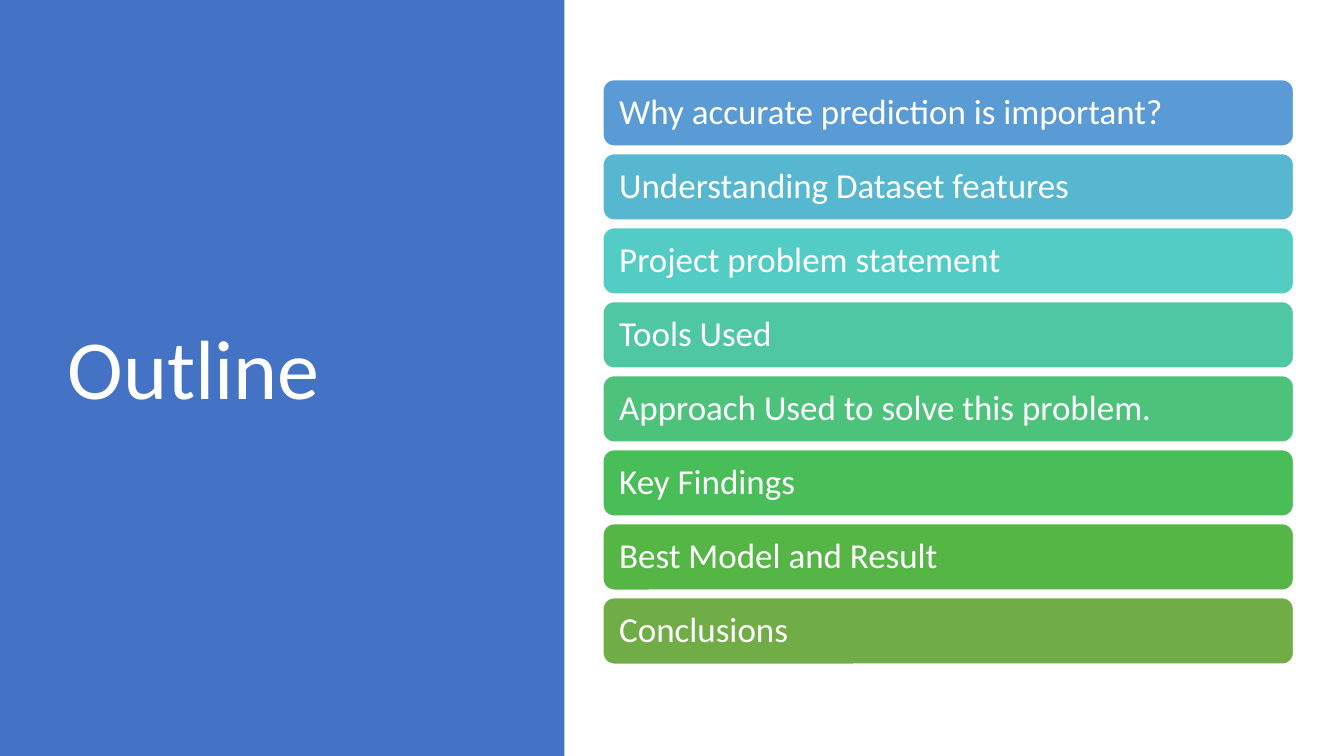
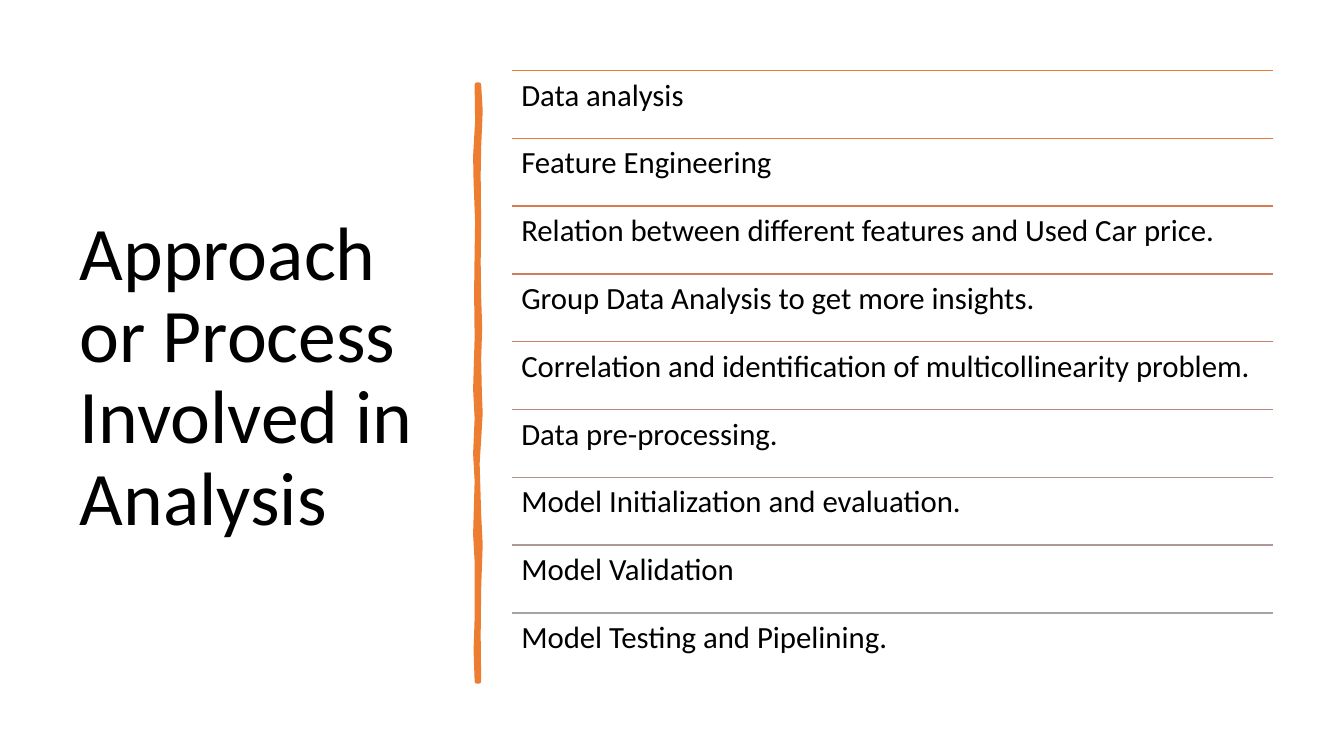
from dataclasses import dataclass
from typing import Any

from pptx import Presentation
from pptx import util as u
from pptx.dml.color import RGBColor
from pptx.enum import shapes, text
from pptx.oxml import parse_xml
from pptx.oxml.ns import nsdecls

FONT = "Calibri"
WHITE = RGBColor(0xFF, 0xFF, 0xFF)
BLACK = RGBColor(0x00, 0x00, 0x00)
BLUE = RGBColor(0x44, 0x72, 0xC4)
ORANGE = RGBColor(0xED, 0x7D, 0x31)
BAR_COLOURS = [RGBColor.from_string(code) for code in
               "5B9BD5 57B7D1 53CCC5 4FC7A0 4CC27B 48BD58 55B646 70AD47".split()]
RULE_COLOURS = [RGBColor.from_string(code) for code in
                "ED7D31 E27A42 D87A51 CE7C61 C48170 BC877E B4908B AC9A99 A5A5A5".split()]

SLIDE_WIDTH, SLIDE_HEIGHT = u.Inches(13.33), u.Inches(7.5)
PANEL_SHARE = 0.42

OUTLINE = [
    "Why accurate prediction is important?",
    "Understanding Dataset features",
    "Project problem statement",
    "Tools Used",
    "Approach Used to solve this problem.",
    "Key Findings",
    "Best Model and Result",
    "Conclusions",
]
STEPS = [
    "Data analysis",
    "Feature Engineering",
    "Relation between different features and Used Car price.",
    "Group Data Analysis to get more insights.",
    "Correlation and identification of multicollinearity problem.",
    "Data pre-processing.",
    "Model Initialization and evaluation.",
    "Model Validation",
    "Model Testing and Pipelining.",
]

# Brush stroke edges as (x, y) in thousandths of an inch
STROKE_RIGHT = [(4750, 840), (4765, 1100), (4750, 1460), (4745, 1730), (4750, 2260),
                (4745, 2600), (4750, 2940), (4760, 3250), (4750, 3560), (4757, 3900),
                (4765, 4100), (4750, 4360), (4735, 4600), (4750, 5100), (4765, 5400),
                (4750, 5840), (4745, 6300), (4750, 6760)]
STROKE_LEFT = [(4730, 6760), (4720, 6450), (4730, 6130), (4730, 5570), (4715, 5300),
               (4730, 4770), (4715, 4500), (4730, 4150), (4715, 3860), (4730, 3350),
               (4725, 2900), (4730, 2500), (4735, 2200), (4720, 1810), (4715, 1550),
               (4735, 1200), (4730, 840)]


@dataclass(frozen=True)
class Box:
    left: float
    top: float
    width: float
    height: float

    def emu(self) -> tuple[int, int, int, int]:
        return (u.Inches(self.left), u.Inches(self.top),
                u.Inches(self.width), u.Inches(self.height))


@dataclass(frozen=True)
class Rows:
    """Equal rows from first.top to the bottom, one for each label."""
    first: Box
    bottom: float
    count: int

    def box(self, index: int) -> Box:
        first = self.first
        pitch = (self.bottom - first.top - first.height) / (self.count - 1)
        return Box(first.left, first.top + index * pitch, first.width, first.height)


def set_values(target: Any, values: dict[str, Any]) -> None:
    for name, value in values.items():
        setattr(target, name, value)


def write(shape: Any, words: str, size: float, colour: RGBColor,
          anchor: text.MSO_ANCHOR, inset: float) -> None:
    frame = shape.text_frame
    set_values(frame, {
        "text": words, "word_wrap": True, "vertical_anchor": anchor,
        "auto_size": text.MSO_AUTO_SIZE.NONE,
        **{f"margin_{side}": u.Inches(inset) for side in ("left", "right", "top", "bottom")},
    })
    para = frame.paragraphs[0]
    set_values(para, {"alignment": text.PP_ALIGN.LEFT, "line_spacing": 0.9})
    set_values(para.runs[0].font, {"name": FONT, "size": u.Pt(size)})
    para.runs[0].font.color.rgb = colour


def paint(shape: Any, fill: RGBColor, line: RGBColor | None = None, width: float = 1) -> None:
    shape.shadow.inherit = False
    shape.fill.solid()
    shape.fill.fore_color.rgb = fill
    if line is None:
        shape.line.fill.background()
    else:
        shape.line.color.rgb = line
        shape.line.width = u.Pt(width)


def add_page(deck: Any, title: str, box: Box, size: float, colour: RGBColor) -> Any:
    page = deck.slides.add_slide(deck.slide_layouts[5])
    heading = page.shapes.title
    set_values(heading, dict(zip(("left", "top", "width", "height"), box.emu())))
    write(heading, title, size, colour, text.MSO_ANCHOR.MIDDLE, 0.1)
    return page


def add_panel(page: Any) -> None:
    """Fill the left share of the page behind its title."""
    panel = page.shapes.add_shape(shapes.MSO_SHAPE.RECTANGLE, 0, 0,
                                  int(SLIDE_WIDTH * PANEL_SHARE), SLIDE_HEIGHT)
    paint(panel, BLUE)
    page.shapes.title._element.addprevious(panel._element)


def add_bar(page: Any, box: Box, label: str, colour: RGBColor) -> None:
    bar = page.shapes.add_shape(shapes.MSO_SHAPE.ROUNDED_RECTANGLE, *box.emu())
    paint(bar, colour, WHITE)
    write(bar, label, 25, WHITE, text.MSO_ANCHOR.MIDDLE, 0.13)


def add_ruled_row(page: Any, box: Box, label: str, colour: RGBColor) -> None:
    left, top, width, height = box.emu()
    rule = page.shapes.add_connector(shapes.MSO_CONNECTOR.STRAIGHT,
                                     left, top, left + width, top)
    rule.line.color.rgb = colour
    rule.line.width = u.Pt(1)
    rule._element.spPr.append(parse_xml(f"<a:effectLst {nsdecls('a')}/>"))
    row = page.shapes.add_textbox(left, top, width, height)
    write(row, label, 22, BLACK, text.MSO_ANCHOR.TOP, 0.09)


def add_brush_stroke(page: Any) -> None:
    start, *others = STROKE_RIGHT + STROKE_LEFT
    builder = page.shapes.build_freeform(*start, scale=u.Inches(1) / 1000)
    builder.add_line_segments(others, close=True)
    stroke = builder.convert_to_shape()
    paint(stroke, ORANGE, ORANGE, 3.25)
    stroke.line._get_or_add_ln().append(parse_xml(f"<a:round {nsdecls('a')}/>"))


def build_outline(deck: Any) -> None:
    page = add_page(deck, "Outline", Box(0.57, 0.68, 4.16, 6.02), 60, WHITE)
    add_panel(page)
    rows = Rows(Box(5.98, 0.79, 6.85, 0.66), 6.59, len(OUTLINE))
    for index, (label, colour) in enumerate(zip(OUTLINE, BAR_COLOURS)):
        add_bar(page, rows.box(index), label, colour)


def build_approach(deck: Any) -> None:
    page = add_page(deck, "Approach or Process Involved in Analysis",
                    Box(0.69, 0.7, 3.74, 6.11), 54, BLACK)
    add_brush_stroke(page)
    rows = Rows(Box(5.08, 0.7, 7.55, 0.67), 6.75, len(STEPS))
    for index, (label, colour) in enumerate(zip(STEPS, RULE_COLOURS)):
        add_ruled_row(page, rows.box(index), label, colour)


def main() -> None:
    deck = Presentation()
    set_values(deck, {"slide_width": SLIDE_WIDTH, "slide_height": SLIDE_HEIGHT})
    build_outline(deck)
    build_approach(deck)
    deck.save("out.pptx")


if __name__ == "__main__":
    main()
